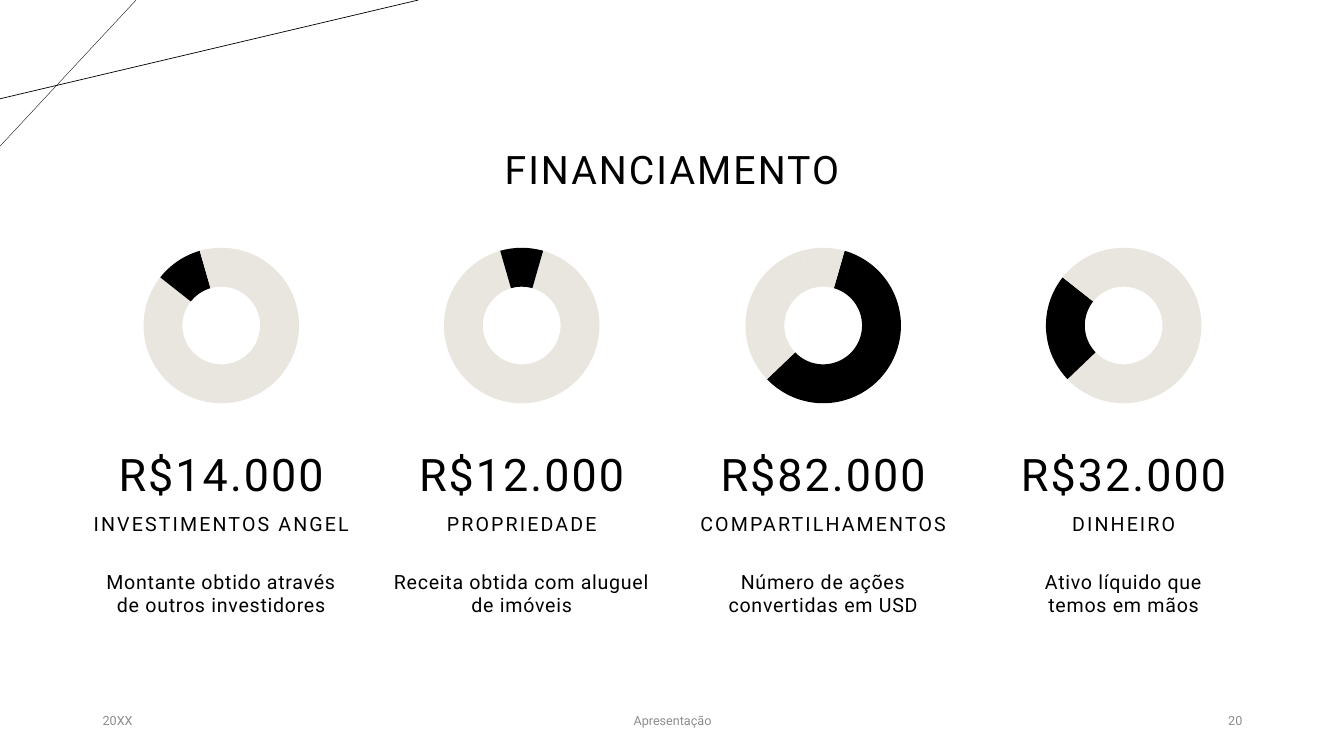
from dataclasses import dataclass

from lxml import etree
from pptx import Presentation, util as u
from pptx.chart import data as cd
from pptx.dml import color
from pptx.enum import chart as ch, shapes, text
from pptx.oxml import ns, xmlchemy as xc

PX = 9144  # 100 px to the inch


@dataclass(frozen=True)
class Theme:
    font: str = "Roboto"
    ink: str = "000000"
    ring: str = "E9E6DF"
    muted: str = "8C8C8C"
    paper: str = "FFFFFF"
    title: int = 28
    amount: int = 32
    body: int = 14
    chart: int = 10
    footer: int = 9


T = Theme()
LEFT, CENTER, RIGHT = (text.PP_ALIGN.LEFT, text.PP_ALIGN.CENTER,
                       text.PP_ALIGN.RIGHT)
TOP, MIDDLE, BOTTOM = (text.MSO_ANCHOR.TOP, text.MSO_ANCHOR.MIDDLE,
                       text.MSO_ANCHOR.BOTTOM)

SHARES = (59, 23, 10, 9)
# amount, source, description, highlighted slice
FUNDS = [
    ("R$14.000", "INVESTIMENTOS ANGEL",
     "Montante obtido através de outros investidores", 2),
    ("R$12.000", "PROPRIEDADE", "Receita obtida com aluguel de imóveis", 3),
    ("R$82.000", "COMPARTILHAMENTOS", "Número de ações convertidas em USD", 0),
    ("R$32.000", "DINHEIRO", "Ativo líquido que\vtemos em mãos", 1),
]


def rgb(value):
    return color.RGBColor.from_string(value)


def apply(obj, values):
    for name, value in values.items():
        setattr(obj, name, value)


def emu(*lengths):
    return [n * PX for n in lengths]


def add_text(s, box, words, size, ink=T.ink, anchor=MIDDLE, para=None,
             side=10, spacing=0):
    tf = s.shapes.add_textbox(*emu(*box)).text_frame
    apply(tf, {"word_wrap": True, "vertical_anchor": anchor,
               "margin_left": side * PX, "margin_right": side * PX,
               "margin_top": 5 * PX, "margin_bottom": 5 * PX})
    p = tf.paragraphs[0]
    p.text = words
    apply(p, {"alignment": CENTER, **(para or {})})
    for r in p.runs:
        apply(r.font, {"name": T.font, "size": u.Pt(size)})
        r.font.color.rgb = rgb(ink)
        if spacing:
            r.font._element.set("spc", str(spacing))


def corner_lines(s, x, y):
    for right, down, width in ((135, 145, 0.25), (415, 98, 0.5)):
        ln = s.shapes.add_connector(shapes.MSO_CONNECTOR.STRAIGHT,
                                    *emu(x + right, y, x, y + down))
        ln.line.width = u.Pt(width)
        ln.line.color.rgb = rgb(T.ink)
        etree.SubElement(ln._element.spPr, ns.qn("a:effectLst"))


def doughnut(s, box, highlight):
    data = cd.CategoryChartData()
    data.categories = [str(i + 1) for i in range(len(SHARES))]
    data.add_series("Series 1", SHARES)
    chart = s.shapes.add_chart(ch.XL_CHART_TYPE.DOUGHNUT, *emu(*box),
                               data).chart
    apply(chart, {"has_legend": False, "has_title": False})
    apply(chart.font, {"name": T.font, "size": u.Pt(T.chart)})
    chart.font.color.rgb = rgb(T.ink)
    plot = chart.plots[0]
    plot.vary_by_categories = False
    for i in range(len(SHARES)):
        fmt = plot.series[0].points[i].format
        fmt.fill.solid()
        fmt.fill.fore_color.rgb = rgb(T.ink if i == highlight else T.ring)
        fmt.line.fill.background()

    # Start angle and hole size
    ring = plot._element
    for tag, value in (("firstSliceAng", 16), ("holeSize", 80)):
        node = ring.find(ns.qn("c:" + tag))
        if node is None:
            node = etree.SubElement(ring, ns.qn("c:" + tag))
        node.set("val", str(value))

    # Square plot area in the middle of the chart
    area = ring.getparent()
    layout = area.find(ns.qn("c:layout"))
    if layout is None:
        layout = etree.Element(ns.qn("c:layout"))
        area.insert(0, layout)
    manual = etree.SubElement(layout, ns.qn("c:manualLayout"))
    w, h = (round(154 / side, 2) for side in box[2:])
    for tag, value in (("layoutTarget", "inner"), ("xMode", "edge"),
                       ("yMode", "edge"), ("x", round((1 - w) / 2, 3)),
                       ("y", round((1 - h) / 2, 3)), ("w", w), ("h", h)):
        etree.SubElement(manual, ns.qn("c:" + tag)).set("val", str(value))


def fund_column(s, x, y, w, fund):
    amount, source, description, highlight = fund
    doughnut(s, (x + 26, y, 203, 182), highlight)
    tight = {"line_spacing": 0.9, "space_before": u.Pt(10)}
    loose = {"space_before": u.Pt(10)}
    for words, top, h, size, anchor, para, spacing in (
            (amount, 182, 88, T.amount, BOTTOM, tight, 150),
            (source, 256, 48, T.body, BOTTOM, tight, 150),
            (description, 328, 93, T.body, TOP, loose, 50)):
        add_text(s, (x, y + top, w, h), words, size, anchor=anchor,
                 para=para, side=0, spacing=spacing)


def footer(s, x, y, h):
    for words, left, w, align in (("20XX", 0, 300, LEFT),
                                  ("Apresentação", 350, 450, CENTER),
                                  ("20", 850, 300, RIGHT)):
        add_text(s, (x + left, y, w, h), words, T.footer, T.muted,
                 para={"alignment": align})


def funding_slide(prs):
    s = prs.slides.add_slide(prs.slide_layouts[6])
    s.background.fill.solid()
    s.background.fill.fore_color.rgb = rgb(T.paper)
    corner_lines(s, 0, 0)
    add_text(s, (206, 98, 921, 145), "FINANCIAMENTO", T.title,
             para={"line_spacing": 0.9}, spacing=150)
    for i, fund in enumerate(FUNDS):
        fund_column(s, 92 + round(i * 298.4), 232, 255, fund)
    footer(s, 92, 695, 40)


def main():
    prs = Presentation()
    apply(prs, {"slide_width": 1333 * PX, "slide_height": 750 * PX})
    funding_slide(prs)
    prs.save("out.pptx")


if __name__ == "__main__":
    main()
